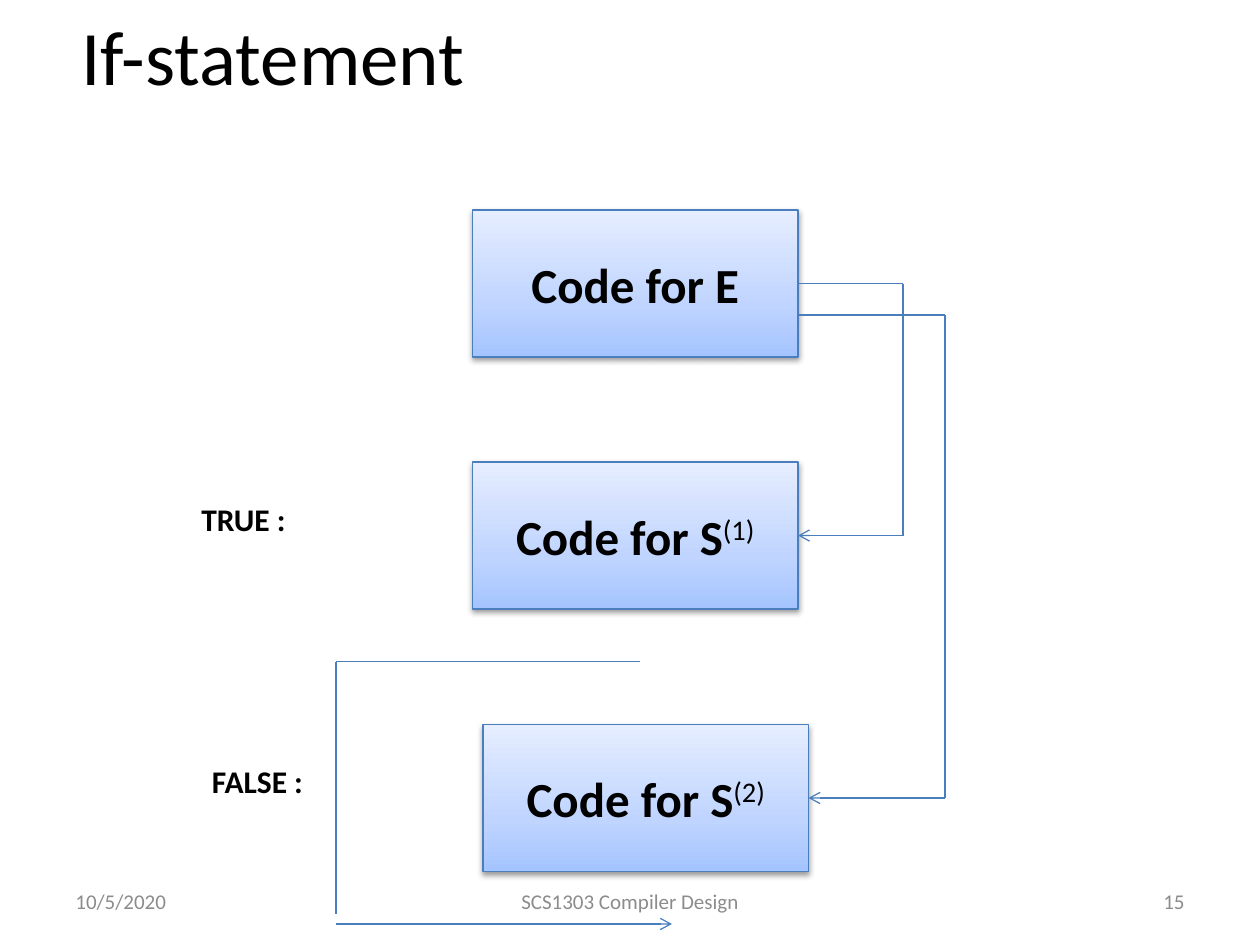
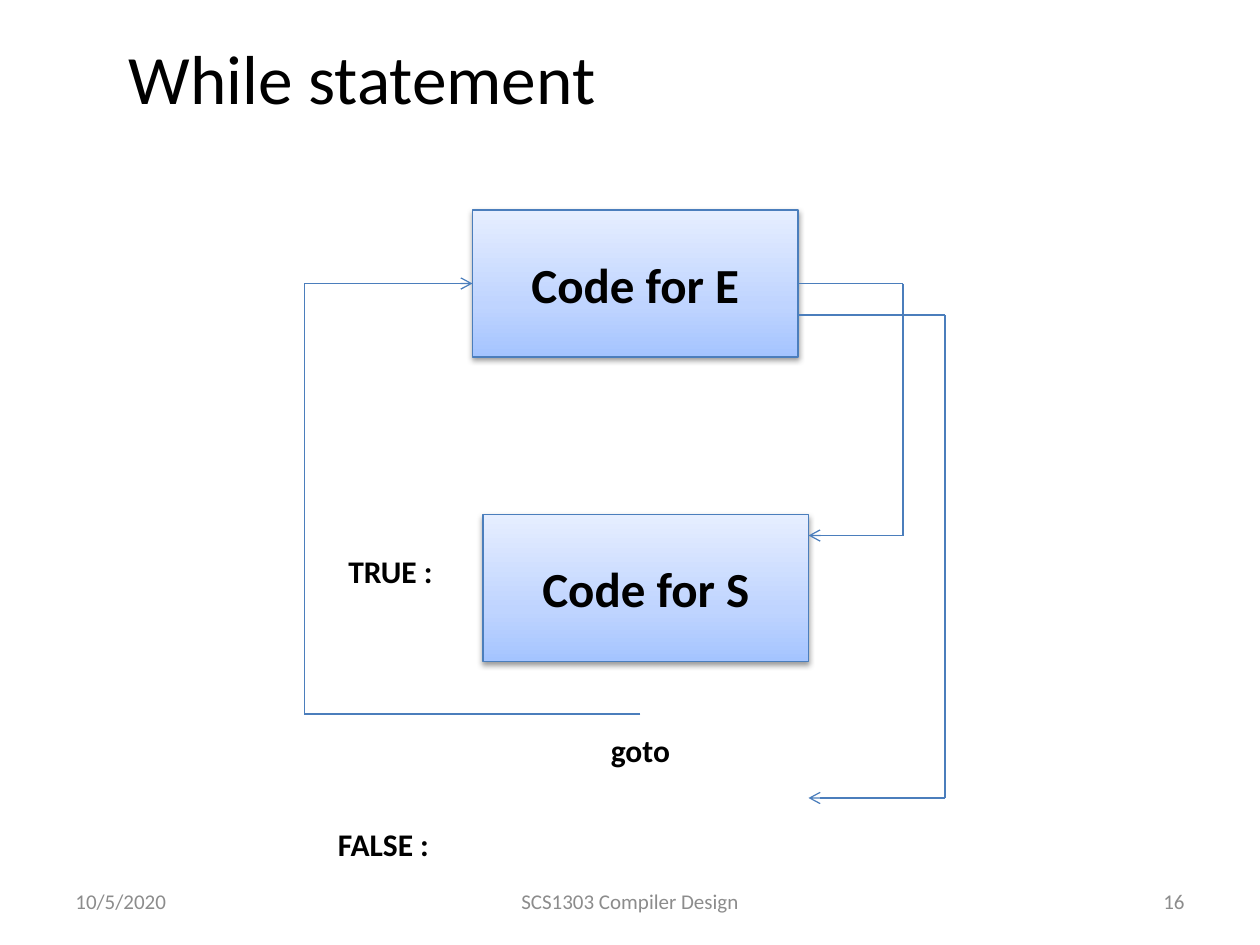
"""Build two slides on the code layout of if and while statements."""
from copy import deepcopy

from pptx import Presentation, oxml, util as u
from pptx.dml.color import RGBColor
from pptx.enum import shapes, text
from pptx.oxml import ns

PX = 7620
FONT = "Calibri"
COLORS = {"text": "000000", "footer": "8C8C8C", "line": "4B7EBC", "shadow": "000000"}
BOX_STOPS = [(0, "A4C4FF"), (0.35, "BFD4FF"), (1, "E6EEFF")]
BOX_WIDTH, BOX_HEIGHT = 310, 140
LEFT, RIGHT = 1, 3
ALIGN = text.PP_ALIGN
ANCHOR = text.MSO_ANCHOR


def px(*values):
    """Turn px lengths into EMU."""
    return [u.Emu(value * PX) for value in values]


def rgb(name):
    """Look up a named colour."""
    return RGBColor.from_string(COLORS[name])


def write(frame, words, size=18, bold=False, color="text", align=ALIGN.LEFT,
          anchor=ANCHOR.TOP, superscript=""):
    """Fill a text frame with one formatted paragraph."""
    frame.word_wrap = True
    frame.auto_size = text.MSO_AUTO_SIZE.NONE
    frame.vertical_anchor = anchor
    paragraph = frame.paragraphs[0]
    paragraph.alignment = align
    for part, raised in ((words, False), (superscript, True)):
        if not part:
            continue
        run = paragraph.add_run()
        run.text = part
        run.font.name = FONT
        run.font.size = u.Pt(size)
        run.font.bold = bold and not raised
        run.font.color.rgb = rgb(color)
        if raised:
            run._r.get_or_add_rPr().set("baseline", "30000")


def add_label(slide, words, left, top, width, height=48, **text_format):
    """Add a text box."""
    shape = slide.shapes.add_textbox(*px(left, top, width, height))
    write(shape.text_frame, words, **text_format)


def add_code_box(slide, words, left, top, superscript=""):
    """Add a shaded rectangle that stands for a block of code."""
    shape = slide.shapes.add_shape(shapes.MSO_SHAPE.RECTANGLE,
                                   *px(left, top, BOX_WIDTH, BOX_HEIGHT))
    shape.fill.gradient()
    shape.fill.gradient_angle = 90
    properties = shape._element.spPr
    stop_list = properties.find(".//" + ns.qn("a:gsLst"))
    stop_list.append(deepcopy(stop_list[0]))
    for stop, (position, color) in zip(shape.fill.gradient_stops, BOX_STOPS):
        stop.position = position
        stop.color.rgb = RGBColor.from_string(color)
    shape.line.color.rgb = rgb("line")
    shape.line.width = u.Pt(0.75)
    shape.shadow.inherit = False
    properties.find(ns.qn("a:effectLst")).append(oxml.parse_xml(
        f'<a:outerShdw {ns.nsdecls("a")} blurRad="40000" dist="20000" dir="5400000" '
        f'rotWithShape="0"><a:srgbClr val="{COLORS["shadow"]}">'
        '<a:alpha val="38000"/></a:srgbClr></a:outerShdw>'))
    write(shape.text_frame, words, size=28, bold=True, align=ALIGN.CENTER,
          anchor=ANCHOR.MIDDLE, superscript=superscript)
    return shape


def add_line(slide, start, end, arrow=False):
    """Add a straight connector between two points."""
    connector = slide.shapes.add_connector(shapes.MSO_CONNECTOR.STRAIGHT,
                                           *px(*start, *end))
    connector.line.color.rgb = rgb("line")
    connector.line.width = u.Pt(0.75)
    properties = connector._element.spPr
    if arrow:
        properties.find(ns.qn("a:ln")).append(
            oxml.parse_xml(f'<a:tailEnd {ns.nsdecls("a")} type="arrow"/>'))
    properties.append(oxml.parse_xml(f'<a:effectLst {ns.nsdecls("a")}/>'))
    return connector


def add_jump(slide, points, begin=None, end=None, arrow=True):
    """Chain straight lines through points, joined to (box, side) at the ends."""
    last = len(points) - 2
    lines = [add_line(slide, start, stop, arrow and index == last)
             for index, (start, stop) in enumerate(zip(points, points[1:]))]
    if begin:
        lines[0].begin_connect(*begin)
    if end:
        lines[-1].end_connect(*end)


def add_condition(slide):
    """Add the box of the tested expression."""
    return add_code_box(slide, "Code for E", 450, 200)


def add_branches(slide, condition, true_x, true_end=None, false_end=None):
    """Add the true and false jumps that leave the condition."""
    add_jump(slide, [(760, 270), (860, 270), (860, 510), (true_x, 510)],
             begin=(condition, RIGHT), end=true_end)
    add_jump(slide, [(760, 300), (900, 300), (900, 760), (770, 760)], end=false_end)


def start_slide(presentation, title, bounds, size, number):
    """Add a slide with its title and footer."""
    slide = presentation.slides.add_slide(presentation.slide_layouts[5])
    shape = slide.shapes.title
    shape.left, shape.top, shape.width, shape.height = px(*bounds)
    write(shape.text_frame, title, size=size, align=ALIGN.CENTER, anchor=ANCHOR.MIDDLE)
    for words, left, width, align in (
            ("10/5/2020", 60, 280, ALIGN.LEFT),
            ("SCS1303 Compiler Design", 410, 380, ALIGN.CENTER),
            (str(number), 860, 280, ALIGN.RIGHT)):
        add_label(slide, words, left, 834, width, size=12, color="footer",
                  align=align, anchor=ANCHOR.MIDDLE)
    return slide


def build_if_slide(presentation):
    """Draw the code layout of an if statement."""
    slide = start_slide(presentation, "If-statement", (60, 0, 400, 104), 44, 15)
    condition = add_condition(slide)
    true_box = add_code_box(slide, "Code for S", 450, 440, superscript="(1)")
    false_box = add_code_box(slide, "Code for S", 460, 690, superscript="(2)")
    add_branches(slide, condition, 760, (true_box, RIGHT), (false_box, RIGHT))
    add_label(slide, "TRUE :", 180, 470, 170, bold=True)
    add_label(slide, "FALSE :", 190, 720, 170, bold=True)
    add_jump(slide, [(610, 630), (320, 630), (320, 870)], arrow=False)
    add_jump(slide, [(320, 880), (640, 880)])


def build_while_slide(presentation):
    """Draw the code layout of a while statement."""
    slide = start_slide(presentation, "While statement", (60, 36, 570, 74), 39.6, 16)
    condition = add_condition(slide)
    add_code_box(slide, "Code for S", 460, 490)
    add_branches(slide, condition, 770)
    add_jump(slide, [(610, 680), (290, 680), (290, 270), (450, 270)],
             end=(condition, LEFT))
    add_label(slide, "TRUE :", 320, 520, 110, bold=True)
    add_label(slide, "goto", 550, 690, 120, bold=True, align=ALIGN.CENTER)
    add_label(slide, "FALSE :", 310, 780, 170, bold=True)


def main():
    """Build and save the presentation."""
    presentation = Presentation()
    presentation.slide_width, presentation.slide_height = px(1200, 900)
    build_if_slide(presentation)
    build_while_slide(presentation)
    presentation.save("out.pptx")


if __name__ == "__main__":
    main()
